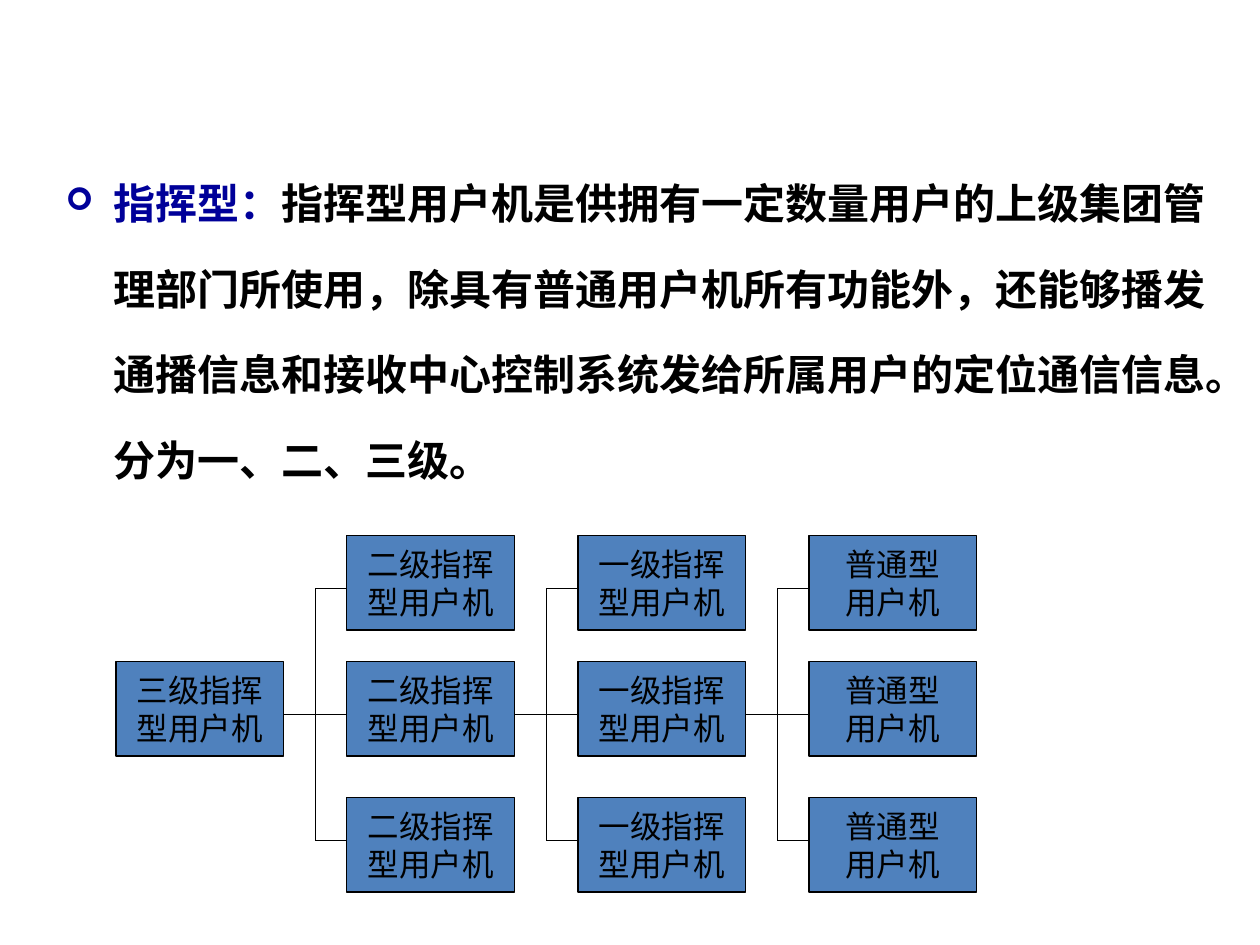
from dataclasses import dataclass
from lxml.etree import SubElement as Sub
from pptx import Presentation
from pptx.dml.color import RGBColor as Rgb
from pptx.enum.shapes import MSO_CONNECTOR as Link, MSO_SHAPE as Shape
from pptx.enum.text import MSO_ANCHOR as Anchor, MSO_AUTO_SIZE as Fit, PP_ALIGN as Align
from pptx.oxml.ns import qn
from pptx.util import Inches, Pt


@dataclass(frozen=True)
class Theme:
    ink: Rgb = Rgb(0, 0, 0)
    lead: Rgb = Rgb(0, 0, 0x99)
    fill: Rgb = Rgb(0x4F, 0x81, 0xBD)
    body: Pt = Pt(24)
    label: Pt = Pt(18)
    rule: Pt = Pt(0.75)
    sans: str = "Calibri"
    han: str = "Noto Sans CJK SC"


THEME = Theme()
LEAD = "指挥型："
TEXT = ("指挥型用户机是供拥有一定数量用户的上级集团管理部门所使用，"
        "除具有普通用户机所有功能外，还能够播发通播信息和接收中心控制系统"
        "发给所属用户的定位通信信息。分为一、二、三级。")

# Tree: one column per level
LEVELS = [
    ("三级指挥\n型用户机", (1,)),
    ("二级指挥\n型用户机", (0, 1, 2)),
    ("一级指挥\n型用户机", (0, 1, 2)),
    ("普通型\n用户机", (0, 1, 2)),
]
LEFT, STEP = 0.92, 5.5 / 3
WIDE, HIGH, GAP = 1.33, 0.75, 0.5
TOPS = (4.25, 5.25, 6.33)
ROWS = (4.67, 5.67, 6.67)


def style(item, **values):
    for name, value in values.items():
        setattr(item, name, value)


def add_run(para, text, color):
    run = para.add_run()
    run.text = text
    style(run.font, size=THEME.body, bold=True, name=THEME.han)
    run.font.color.rgb = color
    Sub(run.font._element, qn("a:ea"), typeface=THEME.han)


def add_bullet(para):
    props = para._p.get_or_add_pPr()
    props.set("marL", str(Inches(0.38)))
    props.set("indent", str(-Inches(0.38)))
    Sub(props, qn("a:buSzPct"), val="75000")
    Sub(props, qn("a:buFont"), typeface="Wingdings")
    Sub(props, qn("a:buChar"), char="➢")


def fill_body(shape):
    style(shape, left=Inches(0.42), top=Inches(1.08),
          width=Inches(9.33), height=Inches(3.17))
    style(shape.text_frame, word_wrap=True, auto_size=Fit.NONE)
    para = shape.text_frame.paragraphs[0]
    add_bullet(para)
    para.line_spacing = 1.7
    add_run(para, LEAD, THEME.lead)
    add_run(para, TEXT, THEME.ink)


def add_box(slide, left, top, text):
    box = slide.shapes.add_shape(Shape.FLOWCHART_PROCESS, Inches(left),
                                 Inches(top), Inches(WIDE), Inches(HIGH))
    box.shadow.inherit = False
    box.fill.solid()
    box.fill.fore_color.rgb = THEME.fill
    box.line.color.rgb = THEME.ink
    box.line.width = THEME.rule
    frame = box.text_frame
    frame.text = text
    style(frame, word_wrap=False, vertical_anchor=Anchor.MIDDLE)
    for para in frame.paragraphs:
        para.alignment = Align.CENTER
        for run in para.runs:
            style(run.font, size=THEME.label, name=THEME.sans)
            run.font.color.rgb = THEME.ink


def add_line(group, *ends):
    line = group.shapes.add_connector(Link.STRAIGHT, *map(Inches, ends))
    line.line.color.rgb = THEME.ink
    line.line.width = THEME.rule
    Sub(line._element.spPr, qn("a:effectLst"))


def add_fork(slide, right):
    group = slide.shapes.add_group_shape()
    left, mid = right - GAP, right - GAP / 2
    high, main, low = ROWS
    add_line(group, left, main, right, main)
    for row in (high, low):
        add_line(group, mid, main, mid, row)
        add_line(group, mid, row, right, row)


def main():
    deck = Presentation()
    style(deck, slide_width=Inches(10), slide_height=Inches(7.5))
    slide = deck.slides.add_slide(deck.slide_layouts[1])

    # Definition, with the unused title removed
    title = slide.shapes.title._element
    title.getparent().remove(title)
    fill_body(slide.placeholders[1])

    # Boxes and the forks that lead into them
    for col, (text, rows) in enumerate(LEVELS):
        left = LEFT + col * STEP
        for row in rows:
            add_box(slide, left, TOPS[row], text)
        if col:
            add_fork(slide, left)

    deck.save("out.pptx")


if __name__ == "__main__":
    main()
